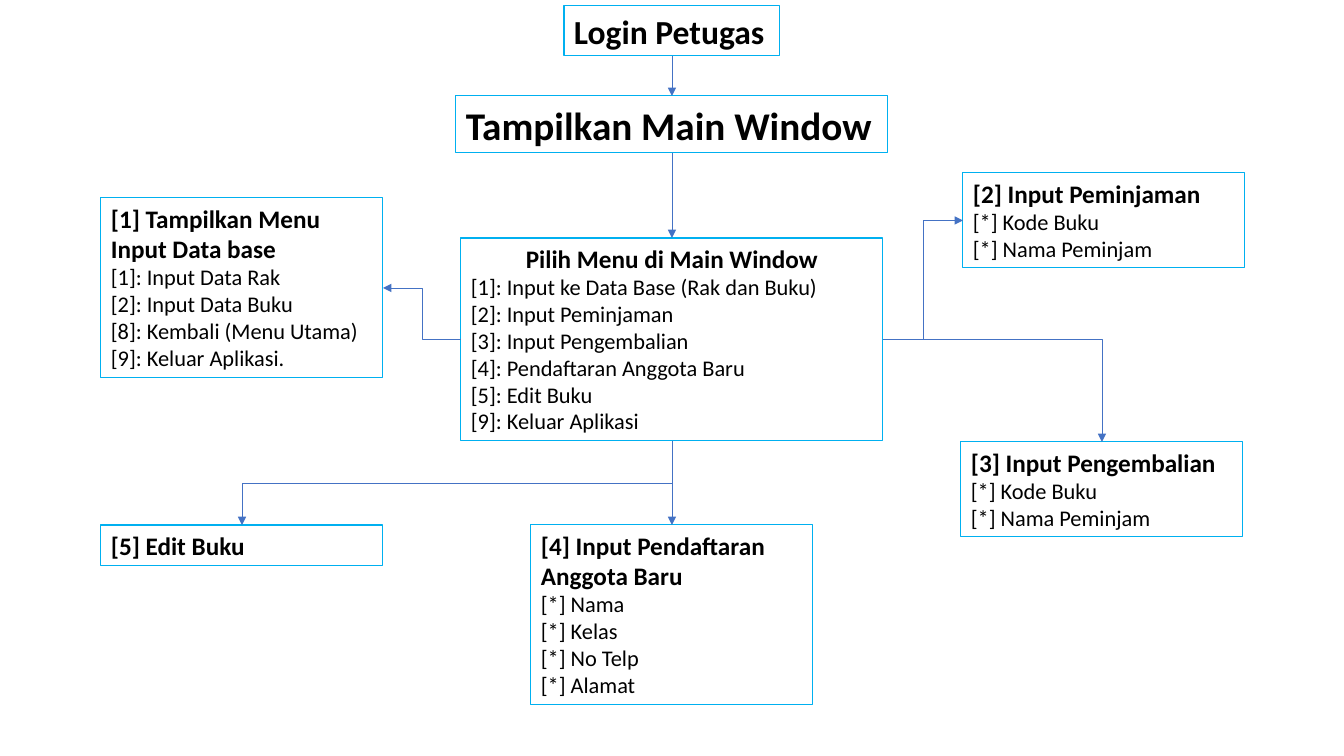
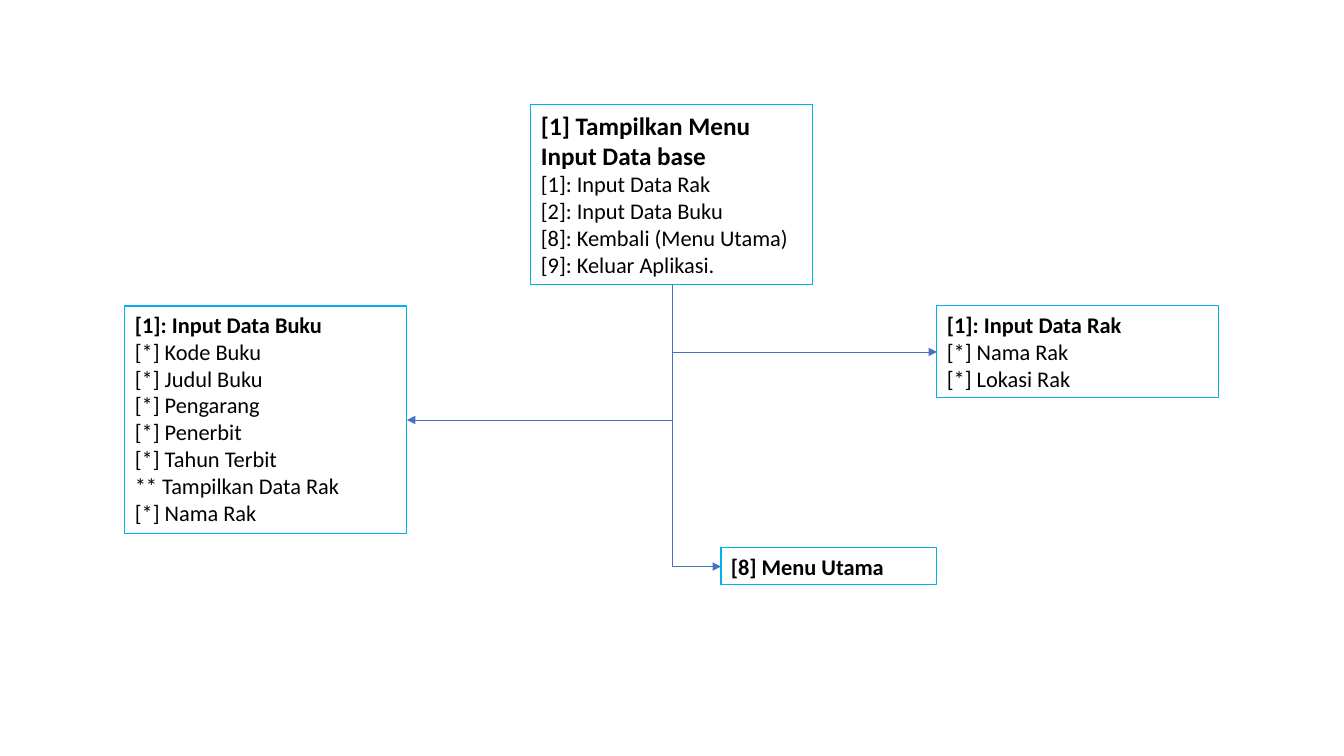
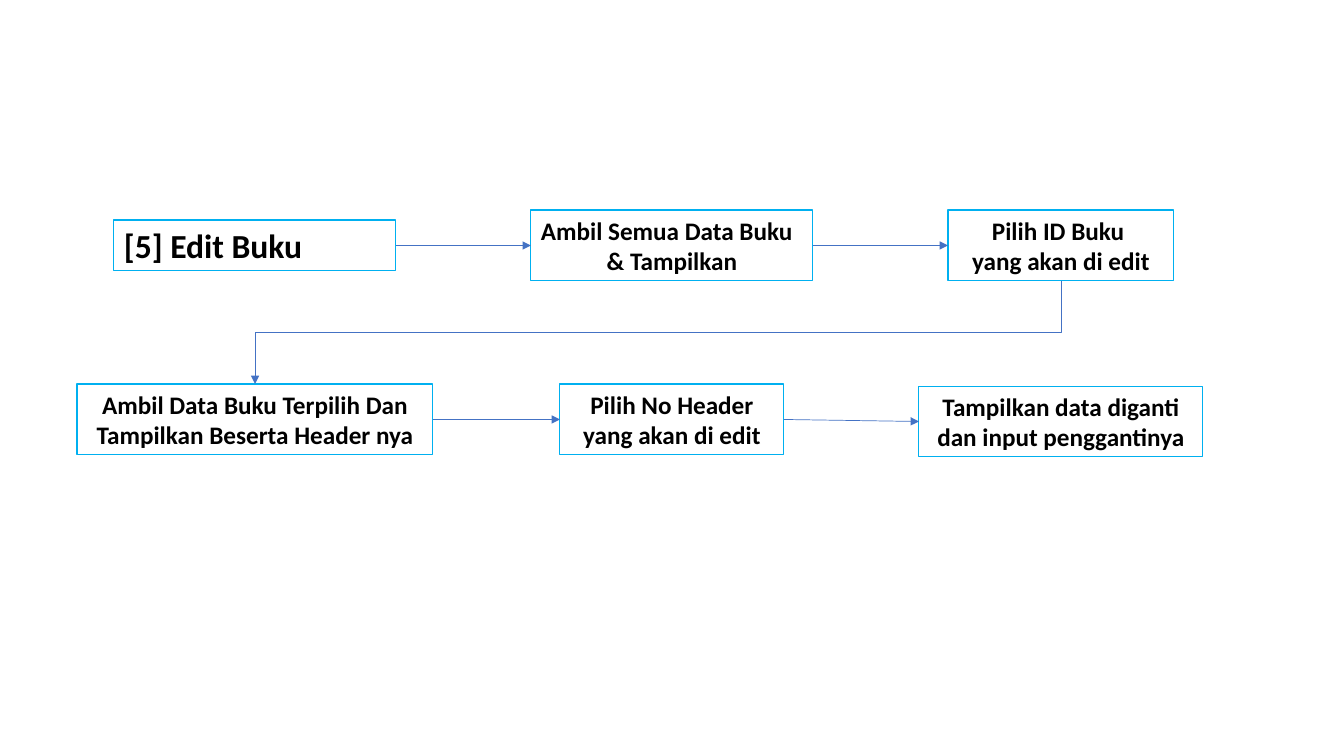
"""Build three flow-chart slides for a library desk application."""
from collections import namedtuple

from pptx import Presentation
from pptx import util as u
from pptx.dml.color import RGBColor
from pptx.enum import shapes, text
from pptx.oxml.ns import qn
from lxml import etree

PX = 914400 / 100.8
SLIDE_W, SLIDE_H = 1344, 756
BLANK_LAYOUT = 6
TOP, LEFT, BOTTOM, RIGHT = range(4)
L, C = text.PP_ALIGN.LEFT, text.PP_ALIGN.CENTER

Theme = namedtuple("Theme", "font ink box arrow box_w arrow_w banner title head item")
THEME = Theme(
    font="Calibri",
    ink=RGBColor.from_string("000000"),
    box=RGBColor.from_string("00B0F0"),
    arrow=RGBColor.from_string("4472C4"),
    box_w=0.75, arrow_w=0.5,
    banner=28, title=24, head=18, item=16,
)

Box = namedtuple("Box", "at heads size items", defaults=(THEME.head, ()))
Link = namedtuple("Link", "start start_side end end_side bends", defaults=(0,))

DATABASE_HEADS = [("[1] Tampilkan Menu Input Data base", L)]
DATABASE_ITEMS = ["[1]: Input Data Rak", "[2]: Input Data Buku",
                  "[8]: Kembali (Menu Utama)", "[9]: Keluar Aplikasi."]
LOAN_ITEMS = ["[*] Kode Buku", "[*] Nama Peminjam"]

MAIN_MENU = (
    {
        "login": Box((564, 6, 216, 50), [("Login Petugas", L)], THEME.title),
        "window": Box((456, 96, 432, 57), [("Tampilkan Main Window", L)], THEME.banner),
        "menu": Box((461, 238, 422, 203), [("Pilih Menu di Main Window", C)], items=[
            "[1]: Input ke Data Base (Rak dan Buku)", "[2]: Input Peminjaman",
            "[3]: Input Pengembalian", "[4]: Pendaftaran Anggota Baru",
            "[5]: Edit Buku", "[9]: Keluar Aplikasi"]),
        "database": Box((101, 198, 282, 180), DATABASE_HEADS, items=DATABASE_ITEMS),
        "loan": Box((963, 173, 282, 95), [("[2] Input Peminjaman", L)], items=LOAN_ITEMS),
        "return": Box((961, 442, 282, 95), [("[3] Input Pengembalian", L)], items=LOAN_ITEMS),
        "member": Box((531, 525, 282, 180), [("[4] Input Pendaftaran Anggota Baru", L)],
                      items=["[*] Nama", "[*] Kelas", "[*] No Telp", "[*] Alamat"]),
        "edit": Box((101, 525, 282, 41), [("[5] Edit Buku", L)]),
    },
    [
        Link("login", BOTTOM, "window", TOP),
        Link("window", BOTTOM, "menu", TOP),
        Link("menu", RIGHT, "return", TOP, 1),
        Link("menu", RIGHT, "loan", LEFT, 2),
        Link("menu", LEFT, "database", RIGHT, 2),
        Link("menu", BOTTOM, "edit", TOP, 2),
        Link("menu", BOTTOM, "member", TOP),
    ],
)

DATABASE_MENU = (
    {
        "database": Box((531, 105, 282, 180), DATABASE_HEADS, items=DATABASE_ITEMS),
        "shelf": Box((937, 306, 282, 92), [("[1]: Input Data Rak", L)], THEME.item,
                     ["[*] Nama Rak", "[*] Lokasi Rak"]),
        "book": Box((125, 306, 282, 228), [("[1]: Input Data Buku", L)], THEME.item, [
            "[*] Kode Buku", "[*] Judul Buku", "[*] Pengarang", "[*] Penerbit",
            "[*] Tahun Terbit", "** Tampilkan Data Rak", "[*] Nama Rak"]),
        "home": Box((721, 548, 216, 37), [("[8] Menu Utama", L)], THEME.item),
    },
    [
        Link("database", BOTTOM, "book", RIGHT, 1),
        Link("database", BOTTOM, "shelf", LEFT, 1),
        Link("database", BOTTOM, "home", LEFT, 1),
    ],
)

EDIT_BOOK = (
    {
        "edit": Box((114, 220, 282, 51), [("[5] Edit Buku", L)], THEME.title),
        "fetch all": Box((531, 210, 282, 71), [("Ambil Semua Data Buku", L), ("& Tampilkan", C)]),
        "pick id": Box((948, 210, 226, 71), [("Pilih ID Buku ", C), ("yang akan di edit", C)]),
        "fetch one": Box((77, 384, 356, 71),
                         [("Ambil Data Buku Terpilih Dan Tampilkan Beserta Header nya", C)]),
        "pick header": Box((560, 384, 224, 71), [("Pilih No Header yang akan di edit", C)]),
        "replace": Box((919, 386, 284, 71),
                       [("Tampilkan data diganti dan input penggantinya", C)]),
    },
    [
        Link("edit", RIGHT, "fetch all", LEFT),
        Link("fetch all", RIGHT, "pick id", LEFT),
        Link("pick id", BOTTOM, "fetch one", TOP, 2),
        Link("fetch one", RIGHT, "pick header", LEFT),
        Link("pick header", RIGHT, "replace", LEFT),
    ],
)


def px(n):
    return u.Emu(round(n * PX))


def add_box(slide, box):
    sp = slide.shapes.add_textbox(*map(px, box.at))
    sp.fill.background()
    sp.line.color.rgb = THEME.box
    sp.line.width = u.Pt(THEME.box_w)
    tf = sp.text_frame
    tf.word_wrap = True
    tf.auto_size = text.MSO_AUTO_SIZE.SHAPE_TO_FIT_TEXT
    rows = [(line, align, box.size, True) for line, align in box.heads]
    rows += [(line, L, THEME.item, False) for line in box.items]
    for i, (line, align, size, bold) in enumerate(rows):
        p = tf.add_paragraph() if i else tf.paragraphs[0]
        p.text = line
        p.alignment = align
        p.font.name = THEME.font
        p.font.size = u.Pt(size)
        p.font.bold = bold
        p.font.color.rgb = THEME.ink
    return sp


def turn_quarter(cx):
    """Turn an elbow so that it leaves its first box downwards."""
    mid_x, mid_y = (cx.begin_x + cx.end_x) // 2, (cx.begin_y + cx.end_y) // 2
    half_x, half_y = (cx.end_x - cx.begin_x) // 2, (cx.end_y - cx.begin_y) // 2
    cx.begin_x, cx.begin_y = mid_x - half_y, mid_y + half_x
    cx.end_x, cx.end_y = mid_x + half_y, mid_y - half_x
    cx.element.spPr.find(qn("a:xfrm")).set("rot", str(90 * 60000))


def add_link(slide, boxes, link):
    kind = shapes.MSO_CONNECTOR.ELBOW if link.bends else shapes.MSO_CONNECTOR.STRAIGHT
    cx = slide.shapes.add_connector(kind, 0, 0, 0, 0)
    cx.begin_connect(boxes[link.start], link.start_side)
    cx.end_connect(boxes[link.end], link.end_side)
    cx.line.color.rgb = THEME.arrow
    cx.line.width = u.Pt(THEME.arrow_w)
    props = cx.element.spPr
    if link.bends:
        props.find(qn("a:prstGeom")).set("prst", f"bentConnector{link.bends + 1}")
        if link.start_side == BOTTOM:
            turn_quarter(cx)
    etree.SubElement(props.find(qn("a:ln")), qn("a:tailEnd"), type="triangle")
    etree.SubElement(props, qn("a:effectLst"))


def main():
    prs = Presentation()
    prs.slide_width, prs.slide_height = px(SLIDE_W), px(SLIDE_H)
    for boxes, links in (MAIN_MENU, DATABASE_MENU, EDIT_BOOK):
        slide = prs.slides.add_slide(prs.slide_layouts[BLANK_LAYOUT])
        placed = {name: add_box(slide, box) for name, box in boxes.items()}
        for link in links:
            add_link(slide, placed, link)
    prs.save("out.pptx")


if __name__ == "__main__":
    main()
